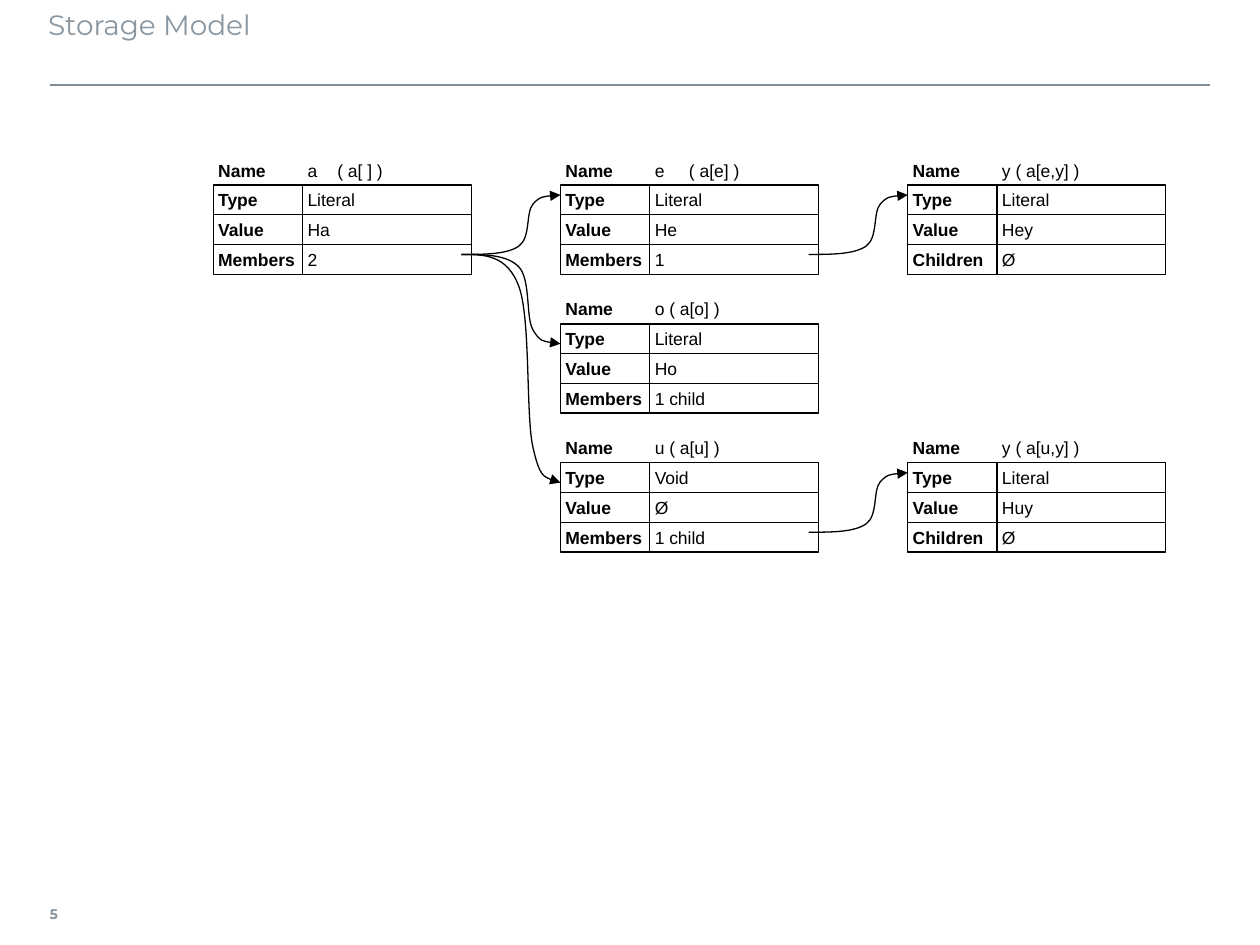
import dataclasses

import lxml.etree
import pptx
import pptx.dml.color
import pptx.enum.shapes
import pptx.enum.text
import pptx.oxml.ns
import pptx.util

Cm = pptx.util.Cm
Pt = pptx.util.Pt
RGB = pptx.dml.color.RGBColor
qn = pptx.oxml.ns.qn
MIDDLE = pptx.enum.text.MSO_ANCHOR.MIDDLE
TOP = pptx.enum.text.MSO_ANCHOR.TOP


@dataclasses.dataclass(frozen=True)
class Theme:
    ink: RGB = RGB.from_string("000000")
    heading: RGB = RGB.from_string("8996A0")
    rule: RGB = RGB.from_string("808D97")
    heading_font: str = "Montserrat"
    body_font: str = "Arial"
    title_size: Pt = Pt(16)
    body_size: Pt = Pt(10)
    number_size: Pt = Pt(8)
    rule_width: Pt = Pt(1)
    box_width: Pt = Pt(0.75)


theme = Theme()


def write(sp, text, font, size, color, bold=False, anchor=MIDDLE,
          insets=(0.1, 0.1, 0.1, 0.1), wrap=False, tab=None):
    tf = sp.text_frame
    tf.word_wrap = wrap
    tf.vertical_anchor = anchor
    tf.margin_left, tf.margin_top, tf.margin_right, tf.margin_bottom = map(Cm, insets)
    p = tf.paragraphs[0]
    p.text = text
    p.alignment = pptx.enum.text.PP_ALIGN.LEFT
    if tab:
        tabs = lxml.etree.SubElement(p._p.get_or_add_pPr(), qn("a:tabLst"))
        lxml.etree.SubElement(tabs, qn("a:tab"), pos=str(Cm(tab)), algn="l")
    p.font.name = font
    p.font.size = size
    p.font.bold = bold
    p.font.color.rgb = color


prs = pptx.Presentation()
prs.slide_width = Cm(25.4)
prs.slide_height = Cm(19.05)
s = prs.slides.add_slide(prs.slide_layouts[6])

rule = s.shapes.add_connector(
    pptx.enum.shapes.MSO_CONNECTOR.STRAIGHT, Cm(1), Cm(1.72), Cm(24.4), Cm(1.72))
rule.line.color.rgb = theme.rule
rule.line.width = theme.rule_width
lxml.etree.SubElement(rule.element.spPr, qn("a:effectLst"))

number = s.shapes.add_textbox(Cm(1), Cm(17.93), Cm(0.9), Cm(1))
write(number, "5", theme.heading_font, theme.number_size, theme.heading,
      bold=True, insets=(0, 0.13, 0.2, 0.13))
title = s.shapes.add_textbox(Cm(0.97), Cm(0.03), Cm(23.4), Cm(1.6))
write(title, "Storage Model", theme.heading_font, theme.title_size, theme.heading,
      anchor=TOP, insets=(0, 0.13, 0.25, 0.13), wrap=True)

LEFT, TOP_EDGE = 4.3, 3.13
COLUMN_PITCH, ROW_PITCH = 7, 2.8
LABEL_W, VALUE_W, CELL_H = 1.8, 3.4, 0.6

nodes = {
    (0, 0): ("a\t( a[ ] )", "Literal", "Ha", "Members", "2", 0.6),
    (1, 0): ("e\t( a[e] )", "Literal", "He", "Members", "1", 0.69),
    (2, 0): ("y ( a[e,y] )", "Literal", "Hey", "Children", "Ø", None),
    (1, 1): ("o ( a[o] )", "Literal", "Ho", "Members", "1 child", None),
    (1, 2): ("u ( a[u] )", "Void", "Ø", "Members", "1 child", None),
    (2, 2): ("y ( a[u,y] )", "Literal", "Huy", "Children", "Ø", None),
}
for (col, row), (name, kind, value, link_label, links, tab) in nodes.items():
    x = LEFT + col * COLUMN_PITCH
    y = TOP_EDGE + row * ROW_PITCH
    fields = [("Name", name), ("Type", kind), ("Value", value), (link_label, links)]
    for i, (label, content) in enumerate(fields):
        for text, dx, w, bold in ((label, 0, LABEL_W, True),
                                  (content, LABEL_W, VALUE_W, False)):
            place = Cm(x + dx), Cm(y + i * CELL_H), Cm(w), Cm(CELL_H)
            if i == 0:
                sp = s.shapes.add_textbox(*place)
            else:
                sp = s.shapes.add_shape(pptx.enum.shapes.MSO_SHAPE.RECTANGLE, *place)
                sp.shadow.inherit = False
                sp.fill.background()
                sp.line.color.rgb = theme.ink
                sp.line.width = theme.box_width
            write(sp, text, theme.body_font, theme.body_size, theme.ink, bold,
                  tab=tab if "\t" in text else None)

BEND_X = (0.23, 0.46, 0.58, 0.7, 0.65, 0.72, 0.79, 0.9, 1)
BEND_Y = (0, 0, 0.14, 0.28, 0.7, 0.84, 0.98, 0.99, 1)
links = [
    ((0, 0), (1, 0), 0.8),
    ((0, 0), (1, 1), 1),
    ((0, 0), (1, 2), 1),
    ((1, 0), (2, 0), 0.8),
    ((1, 2), (2, 2), 0.8),
]
for (col, row), (to_col, to_row), drop in links:
    x1 = LEFT + col * COLUMN_PITCH + 5
    y1 = TOP_EDGE + row * ROW_PITCH + 2
    dx = LEFT + to_col * COLUMN_PITCH - x1
    dy = TOP_EDGE + to_row * ROW_PITCH + drop - y1
    builder = s.shapes.build_freeform(Cm(x1), Cm(y1))
    builder.add_line_segments(
        [(Cm(x1 + fx * dx), Cm(y1 + fy * dy)) for fx, fy in zip(BEND_X, BEND_Y)],
        close=False)
    sp = builder.convert_to_shape()
    sp.shadow.inherit = False
    sp.fill.background()
    sp.line.color.rgb = theme.ink
    sp.line.width = theme.box_width
    lxml.etree.SubElement(sp.line._get_or_add_ln(), qn("a:tailEnd"), type="triangle")
    curve = next(sp.element.iter(qn("a:path")))
    segments = curve.findall(qn("a:lnTo"))
    for i in range(0, len(segments), 3):
        bezier = lxml.etree.SubElement(curve, qn("a:cubicBezTo"))
        for segment in segments[i:i + 3]:
            bezier.append(segment[0])
            curve.remove(segment)

prs.save("out.pptx")
